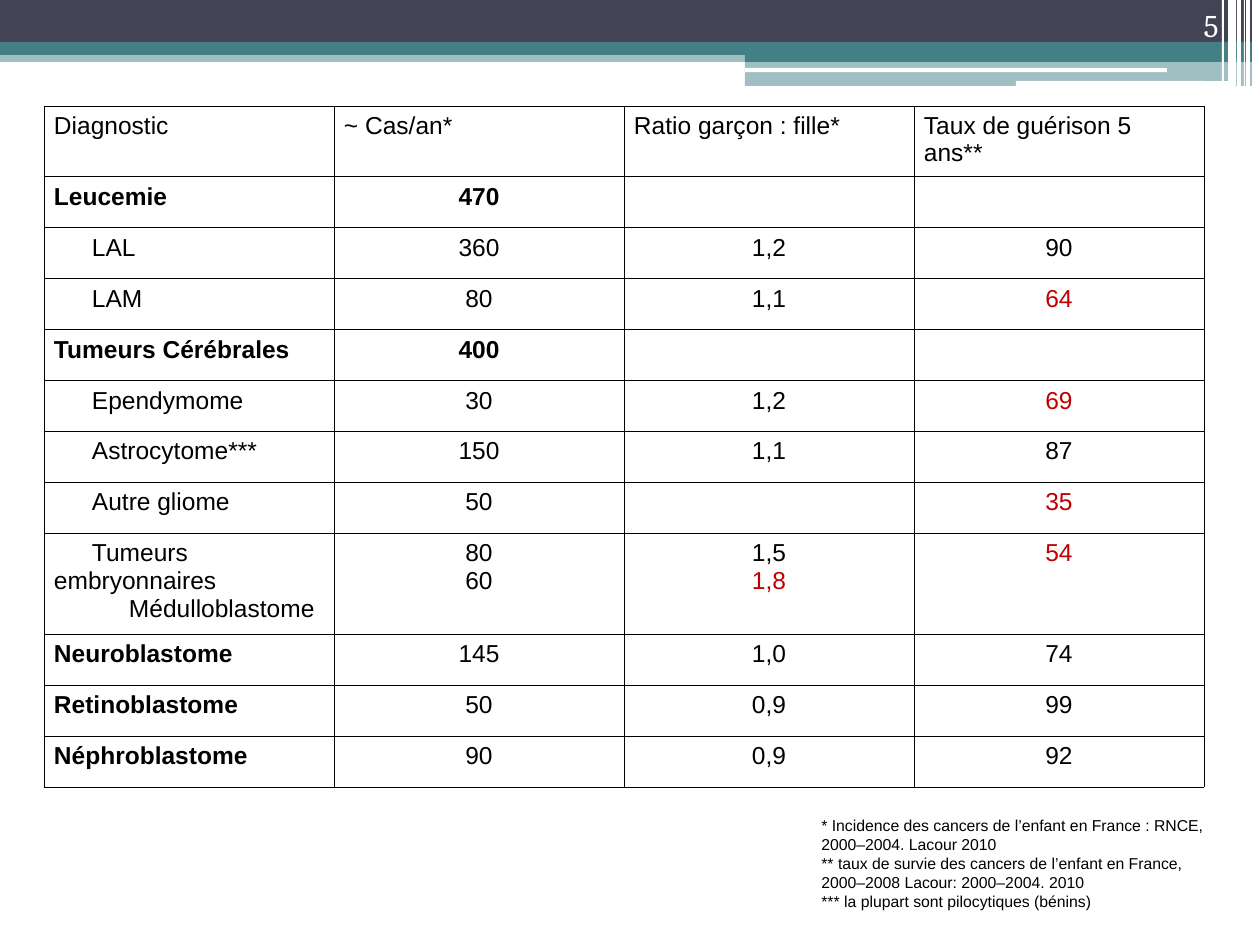
from dataclasses import dataclass
from typing import NamedTuple

from lxml import etree
from pptx import Presentation
from pptx import util as u
from pptx.dml.color import RGBColor
from pptx.enum import shapes, text
from pptx.oxml import ns

PX_PER_INCH = 126


@dataclass(frozen=True)
class Theme:
    navy: str = "424456"
    teal: str = "438086"
    white: str = "FFFFFF"
    black: str = "000000"
    red: str = "C00000"
    body_font: str = "Arial"
    number_font: str = "Cambria"
    table_size: int = 14
    note_size: int = 9
    number_size: int = 18
    border: float = 0.45


class Box(NamedTuple):
    x: int
    y: int
    w: int
    h: int


class Band(NamedTuple):
    box: Box
    color: str
    alpha: int = 100
    rounded: bool = False


class Row(NamedTuple):
    cells: tuple[str, str, str, str]
    height: int = 51
    bold_cols: int = 0
    red: tuple[str, ...] = ()


THEME = Theme()

BANDS = [
    Band(Box(0, 50, 1260, 12), THEME.teal, 50),
    Band(Box(0, 0, 1260, 43), THEME.navy),
    Band(Box(0, 42, 1260, 13), THEME.teal),
    Band(Box(745, 49, 515, 13), THEME.teal),
    Band(Box(745, 61, 515, 25), THEME.teal, 50),
    Band(Box(745, 68, 422, 4), THEME.white, rounded=True),
    Band(Box(1016, 81, 220, 5), THEME.white, rounded=True),
]
STRIPES = [(1252, 8, 86), (1246, 4, 86), (1244, 1, 86),
           (1237, 4, 86), (1228, 8, 81), (1222, 2, 81)]

TABLE = Box(44, 106, 1160, 676)
TABS = (38, 75)
ROWS = [
    Row(("Diagnostic", "~ Cas/an*", "Ratio garçon : fille*", "Taux de guérison 5 ans**"), height=68),
    Row(("Leucemie", "470", "", ""), bold_cols=2),
    Row(("\tLAL", "360", "1,2", "90")),
    Row(("\tLAM", "80", "1,1", "64"), red=("64",)),
    Row(("Tumeurs Cérébrales", "400", "", ""), bold_cols=2),
    Row(("\tEpendymome", "30", "1,2", "69"), red=("69",)),
    Row(("\tAstrocytome***", "150", "1,1", "87")),
    Row(("\tAutre gliome", "50", "", "35"), red=("35",)),
    Row(("\tTumeurs embryonnaires\n\t\tMédulloblastome", "80\n60", "1,5\n1,8", "54"),
        height=98, red=("1,8", "54")),
    Row(("Neuroblastome", "145", "1,0", "74"), bold_cols=1),
    Row(("Retinoblastome", "50", "0,9", "99"), bold_cols=1),
    Row(("Néphroblastome", "90", "0,9", "92"), bold_cols=1),
]
NOTES = "\n".join([
    "* Incidence des cancers de l’enfant en France : RNCE, 2000–2004. Lacour 2010",
    "** taux de survie des cancers de l’enfant en France, 2000–2008 Lacour: 2000–2004. 2010",
    "*** la plupart sont pilocytiques (bénins)",
])


def px(n: int) -> u.Emu:
    return u.Emu(round(n * 914400 / PX_PER_INCH))


def place(box: Box) -> list[u.Emu]:
    return [px(n) for n in box]


def style_run(r, font: str, size: int, color: str, bold: bool = False) -> None:
    r.font.name = font
    r.font.size = u.Pt(size)
    r.font.bold = bold
    r.font.color.rgb = RGBColor.from_string(color)


def add_band(s, band: Band) -> None:
    kind = shapes.MSO_SHAPE.ROUNDED_RECTANGLE if band.rounded else shapes.MSO_SHAPE.RECTANGLE
    sp = s.shapes.add_shape(kind, *place(band.box))
    sp.shadow.inherit = False
    sp.line.fill.background()
    sp.fill.solid()
    sp.fill.fore_color.rgb = RGBColor.from_string(band.color)
    if band.alpha < 100:
        clr = sp.fill._xPr.find(".//" + ns.qn("a:srgbClr"))
        etree.SubElement(clr, ns.qn("a:alpha"), val=str(band.alpha * 1000))


def add_text(s, box: Box, content: str, font: str, size: int, color: str,
             align=text.PP_ALIGN.LEFT, anchor=text.MSO_ANCHOR.TOP) -> None:
    tf = s.shapes.add_textbox(*place(box)).text_frame
    tf.word_wrap = True
    tf.vertical_anchor = anchor
    tf.text = content
    for p in tf.paragraphs:
        p.alignment = align
        for r in p.runs:
            style_run(r, font, size, color)


def set_tabs(p) -> None:
    tabs = etree.SubElement(p._p.get_or_add_pPr(), ns.qn("a:tabLst"))
    for pos in TABS:
        etree.SubElement(tabs, ns.qn("a:tab"), pos=str(px(pos)), algn="l")


def set_borders(cell) -> None:
    pr = cell._tc.get_or_add_tcPr()
    for i, side in enumerate(("lnL", "lnR", "lnT", "lnB")):
        ln = etree.Element(ns.qn(f"a:{side}"), w=str(u.Pt(THEME.border)))
        fill = etree.SubElement(ln, ns.qn("a:solidFill"))
        etree.SubElement(fill, ns.qn("a:srgbClr"), val=THEME.black)
        pr.insert(i, ln)


def fill_cell(cell, row: Row, col: int, centred: bool) -> None:
    cell.fill.background()
    set_borders(cell)
    cell.margin_left = cell.margin_right = px(10)
    cell.margin_top = cell.margin_bottom = px(6)
    tf = cell.text_frame
    tf.text = row.cells[col]
    for p in tf.paragraphs:
        if "\t" in p.text:
            set_tabs(p)
        p.alignment = text.PP_ALIGN.CENTER if centred else text.PP_ALIGN.LEFT
        for r in p.runs:
            color = THEME.red if r.text in row.red else THEME.black
            style_run(r, THEME.body_font, THEME.table_size, color, col < row.bold_cols)


def add_diagnosis_table(s, rows: list[Row]) -> None:
    columns = len(rows[0].cells)
    table = s.shapes.add_table(len(rows), columns, *place(TABLE)).table
    table.first_row = table.horz_banding = False
    for column in table.columns:
        column.width = px(TABLE.w // columns)
    for i, row in enumerate(rows):
        table.rows[i].height = px(row.height)
        for col in range(columns):
            fill_cell(table.cell(i, col), row, col, centred=i > 0 and col > 0)


def main() -> None:
    prs = Presentation()
    prs.slide_width, prs.slide_height = px(1260), px(945)
    s = prs.slides.add_slide(prs.slide_layouts[6])
    for band in BANDS:
        add_band(s, band)
    for x, w, h in STRIPES:
        add_band(s, Band(Box(x, 0, w, h), THEME.white))
    add_text(s, Box(1126, 0, 105, 50), "5", THEME.number_font, THEME.number_size,
             THEME.white, text.PP_ALIGN.RIGHT, text.MSO_ANCHOR.BOTTOM)
    add_diagnosis_table(s, ROWS)
    add_text(s, Box(809, 810, 412, 107), NOTES, THEME.body_font, THEME.note_size, THEME.black)
    prs.save("out.pptx")


if __name__ == "__main__":
    main()
